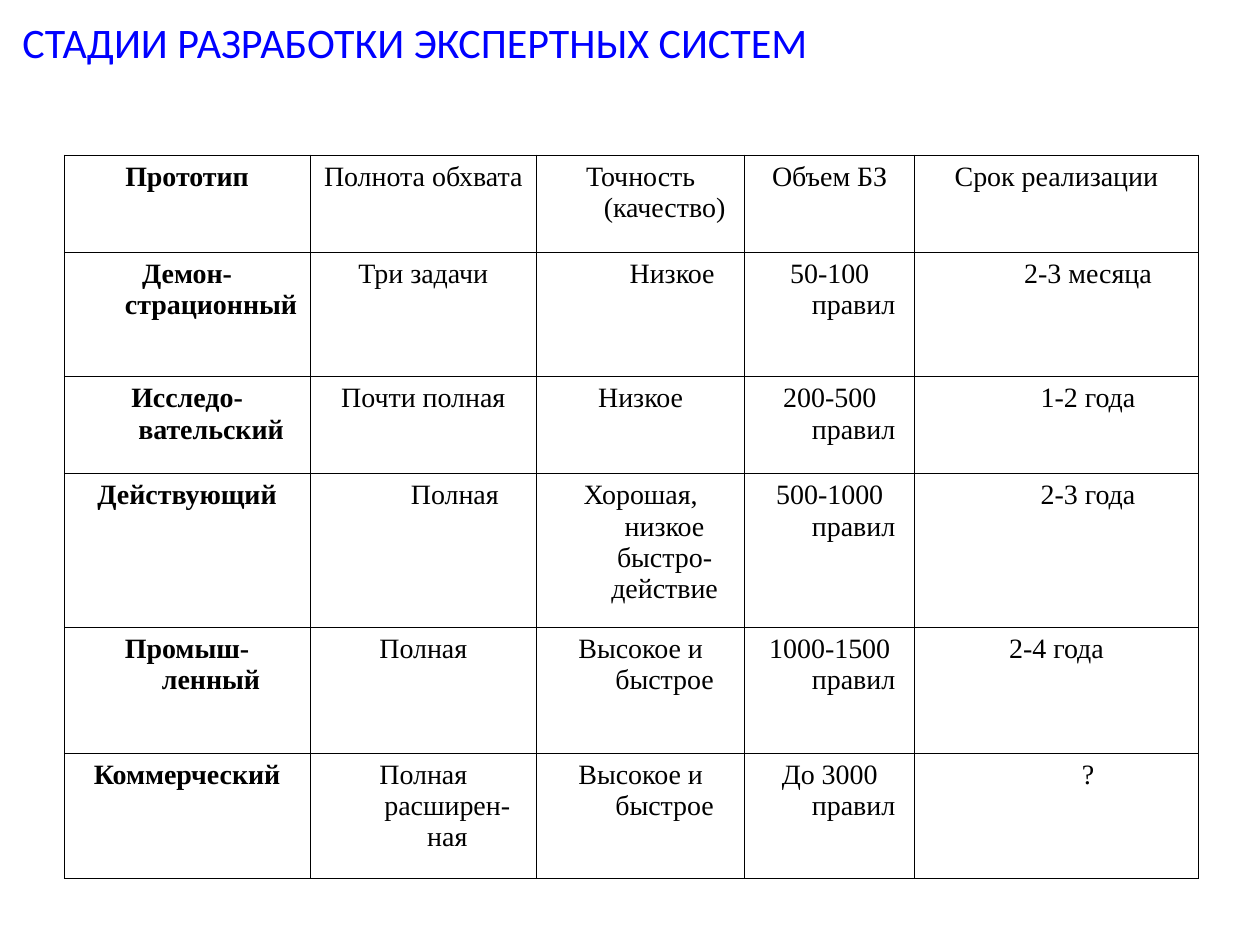
from lxml.etree import SubElement
from pptx import Presentation
from pptx.dml.color import RGBColor
from pptx.enum.text import MSO_ANCHOR, PP_ALIGN
from pptx.oxml.ns import qn
from pptx.util import Inches, Pt

BLUE = RGBColor(0x00, 0x00, 0xFF)
BLACK = RGBColor(0x00, 0x00, 0x00)

COLUMN_WIDTHS = [1.95, 1.8, 1.65, 1.35, 2.25]
ROW_HEIGHTS = [0.77, 0.99, 0.77, 1.22, 1, 0.99]
STAGES = [
    ["Прототип", "Полнота обхвата", "Точность (качество)", "Объем БЗ", "Срок реализации"],
    ["Демон-страционный", "Три задачи", "Низкое", "50-100 правил", "2-3 месяца"],
    ["Исследо-вательский", "Почти полная", "Низкое", "200-500 правил", "1-2 года"],
    ["Действующий", "Полная", "Хорошая, низкое быстро-действие", "500-1000 правил", "2-3 года"],
    ["Промыш-ленный", "Полная", "Высокое и быстрое", "1000-1500 правил", "2-4 года"],
    ["Коммерческий", "Полная расширен-ная", "Высокое и быстрое", "До 3000 правил", "?"],
]
INDENTED = {(1, 2), (1, 4), (2, 4), (3, 1), (3, 4), (5, 4)}


def add_borders(cell):
    properties = cell._tc.get_or_add_tcPr()
    for side in ("a:lnL", "a:lnR", "a:lnT", "a:lnB"):
        line = SubElement(properties, qn(side), w=str(Pt(0.45)))
        fill = SubElement(line, qn("a:solidFill"))
        SubElement(fill, qn("a:srgbClr"), val=str(BLACK))


def set_font(paragraph, name, size, color, bold=False):
    font = paragraph.font
    font.name = name
    font.size = Pt(size)
    font.color.rgb = color
    font.bold = bold


presentation = Presentation()
presentation.slide_width = Inches(10)
presentation.slide_height = Inches(7.5)
slide = presentation.slides.add_slide(presentation.slide_layouts[6])

title = slide.shapes.add_textbox(Inches(0.08), Inches(0.05), Inches(9.96), Inches(0.61))
title.text_frame.word_wrap = True
title.text_frame.vertical_anchor = MSO_ANCHOR.MIDDLE
heading = title.text_frame.paragraphs[0]
heading.text = "СТАДИИ РАЗРАБОТКИ ЭКСПЕРТНЫХ СИСТЕМ"
heading.line_spacing = 0.9
set_font(heading, "Calibri", 24, BLUE)

stages = slide.shapes.add_table(
    len(ROW_HEIGHTS), len(COLUMN_WIDTHS), Inches(0.51), Inches(1.23),
    Inches(sum(COLUMN_WIDTHS)), Inches(sum(ROW_HEIGHTS)),
).table
stages.first_row = False
stages.horz_banding = False
for column, width in zip(stages.columns, COLUMN_WIDTHS):
    column.width = Inches(width)
for row, height in zip(stages.rows, ROW_HEIGHTS):
    row.height = Inches(height)

for row_index, stage in enumerate(STAGES):
    for column_index, wording in enumerate(stage):
        cell = stages.cell(row_index, column_index)
        add_borders(cell)
        cell.fill.background()
        paragraph = cell.text_frame.paragraphs[0]
        paragraph.text = wording
        paragraph.alignment = PP_ALIGN.CENTER
        first_line = 0.12 if (row_index, column_index) in INDENTED else -0.38
        indents = paragraph._p.get_or_add_pPr()
        indents.set("marL", str(Inches(0.38)))
        indents.set("indent", str(Inches(first_line)))
        set_font(paragraph, "Times New Roman", 16, BLACK, bold=column_index == 0)

presentation.save("out.pptx")
